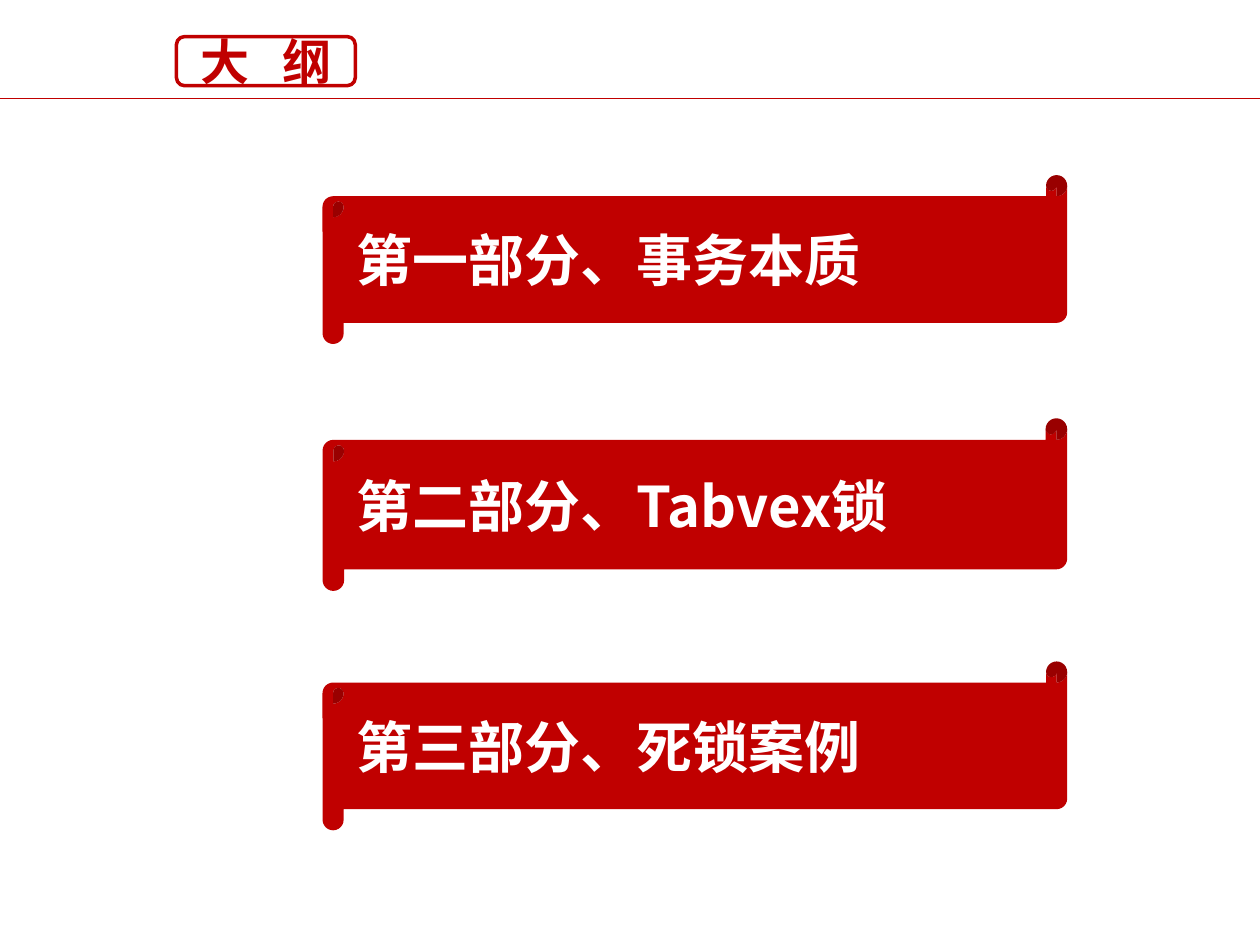
from dataclasses import dataclass

from lxml.etree import SubElement
from pptx import Presentation
from pptx.dml.color import RGBColor
from pptx.enum.shapes import MSO_CONNECTOR, MSO_SHAPE
from pptx.enum.text import MSO_ANCHOR, MSO_AUTO_SIZE, PP_ALIGN
from pptx.oxml.ns import qn
from pptx.slide import Slide
from pptx.util import Inches, Pt

RED = RGBColor(0xC0, 0x00, 0x00)
WHITE = RGBColor(0xFF, 0xFF, 0xFF)
FONT = "Noto Sans CJK SC"


@dataclass(frozen=True)
class Section:
    heading: str
    height: float = 1.34


SECTIONS = [
    Section("第一部分、事务本质"),
    Section("第二部分、Tabvex锁", 1.37),
    Section("第三部分、死锁案例"),
]
FIRST_TOP, PITCH = 1.39, 1.93
TITLE_BOX = [Inches(length) for length in (1.4, 0.29, 1.42, 0.39)]


def style_paragraph(paragraph, size: int, color: RGBColor, align: PP_ALIGN) -> None:
    """Bold text in one font for both Latin and Chinese characters."""
    paragraph.alignment = align
    font = paragraph.font
    font.size, font.bold, font.name = Pt(size), True, FONT
    font.color.rgb = color
    for run in paragraph.runs:
        SubElement(run._r.get_or_add_rPr(), qn("a:ea"), typeface=FONT)


def add_rule(slide: Slide, y: float) -> None:
    rule = slide.shapes.add_connector(
        MSO_CONNECTOR.STRAIGHT, Inches(0), Inches(y), Inches(10), Inches(y))
    rule.line.color.rgb = RED
    rule.line.width = Pt(0.75)
    SubElement(rule._element.spPr, qn("a:effectLst"))


def add_scroll(slide: Slide, section: Section, top: float) -> None:
    scroll = slide.shapes.add_shape(
        MSO_SHAPE.HORIZONTAL_SCROLL,
        Inches(2.56), Inches(top), Inches(5.91), Inches(section.height))
    scroll.shadow.inherit = False
    scroll.fill.solid()
    scroll.fill.fore_color.rgb = RED
    scroll.line.fill.background()
    frame = scroll.text_frame
    frame.vertical_anchor = MSO_ANCHOR.MIDDLE
    frame.text = section.heading
    style_paragraph(frame.paragraphs[0], 32, WHITE, PP_ALIGN.LEFT)


def add_title_frame(slide: Slide) -> None:
    border = slide.shapes.add_shape(
        MSO_SHAPE.FLOWCHART_ALTERNATE_PROCESS, *TITLE_BOX)
    border.shadow.inherit = False
    border.fill.solid()
    border.fill.fore_color.rgb = WHITE
    border.line.color.rgb = RED
    border.line.width = Pt(2)


def fill_title(slide: Slide) -> None:
    title = slide.shapes.title
    title.left, title.top, title.width, title.height = TITLE_BOX
    # Bring the title in front of its frame
    slide.shapes._spTree.append(title._element)

    frame = title.text_frame
    frame.auto_size = MSO_AUTO_SIZE.NONE
    frame.vertical_anchor = MSO_ANCHOR.MIDDLE
    frame.margin_top = frame.margin_bottom = 0
    heading = frame.paragraphs[0]
    for part in ("大 ", "纲"):
        heading.add_run().text = part
    # Character spacing widens the gap between the two words
    heading.runs[0]._r.get_or_add_rPr().set("spc", "630")
    style_paragraph(heading, 28, RED, PP_ALIGN.CENTER)


def main() -> None:
    deck = Presentation()
    deck.slide_width, deck.slide_height = Inches(10), Inches(7.5)
    slide = deck.slides.add_slide(deck.slide_layouts[5])  # Title Only

    # Header rule
    add_rule(slide, 0.78)

    # Outline sections
    for index, section in enumerate(SECTIONS):
        add_scroll(slide, section, FIRST_TOP + index * PITCH)

    # Framed title
    add_title_frame(slide)
    fill_title(slide)

    deck.save("out.pptx")


if __name__ == "__main__":
    main()
